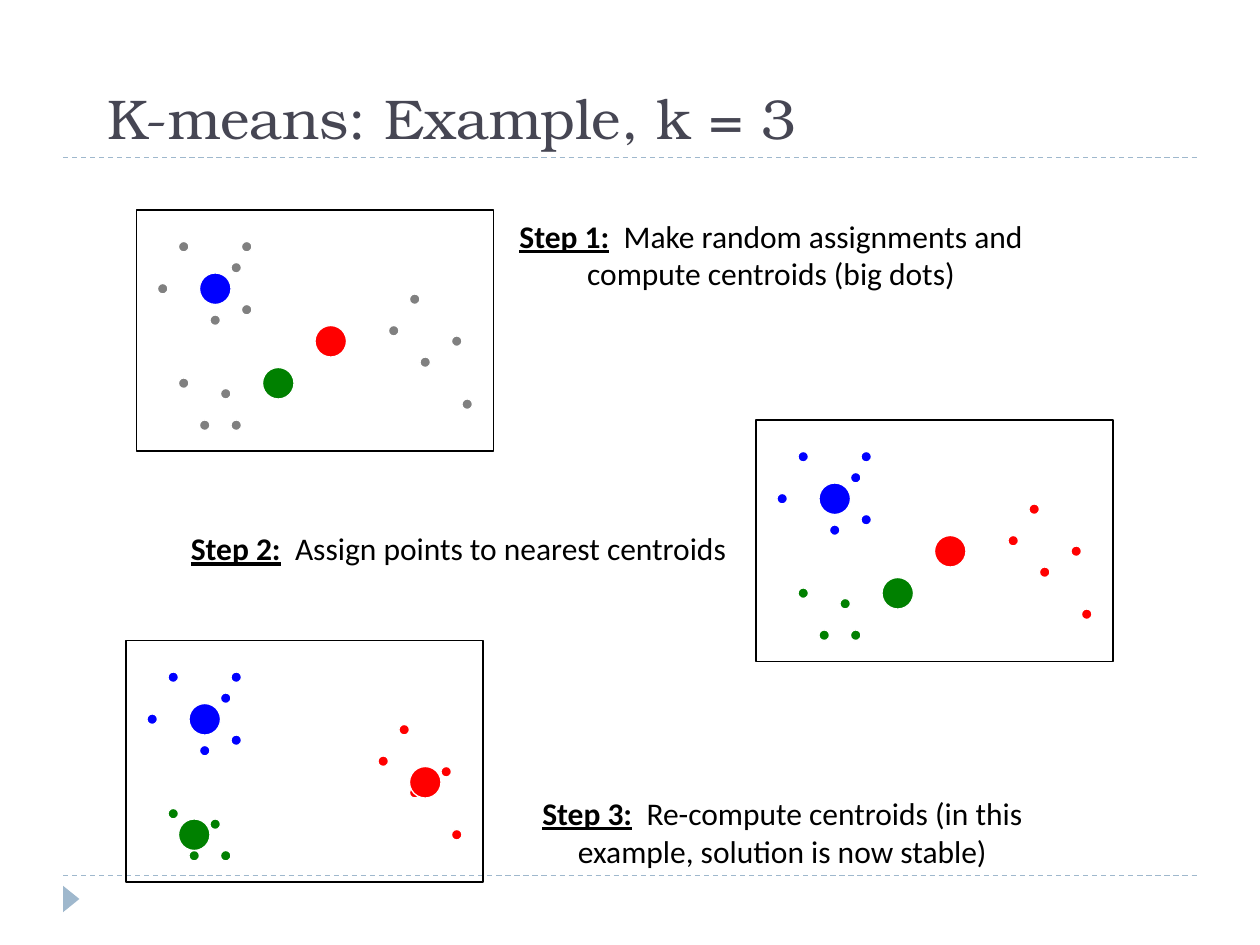
from lxml import etree
from pptx import Presentation
from pptx.dml.color import RGBColor
from pptx.enum.dml import MSO_LINE
from pptx.enum.shapes import MSO_CONNECTOR, MSO_SHAPE
from pptx.enum.text import MSO_ANCHOR, PP_ALIGN
from pptx.oxml.ns import qn
from pptx.util import Inches, Pt

RECTANGLE, OVAL = MSO_SHAPE.RECTANGLE, MSO_SHAPE.OVAL
TRIANGLE = MSO_SHAPE.ISOSCELES_TRIANGLE
MIDDLE, BOTTOM = MSO_ANCHOR.MIDDLE, MSO_ANCHOR.BOTTOM
LEFT, CENTER = PP_ALIGN.LEFT, PP_ALIGN.CENTER

# Content: points lie on a grid of 12 units to the inch, counted from the frame's corner
TITLE = "K-means: Example, k = 3"
BLUE, RED, GREEN, GREY = "0000FF", "FF0000", "008000", "808080"
BLACK, WHITE, ACCENT, TITLE_COLOUR = "000000", "FFFFFF", "9FB8CD", "464653"
CLUSTERS = {
    BLUE: [(4, 3), (7, 10), (9, 5), (10, 9), (2, 7), (10, 3)],
    RED: [(26, 8), (30, 12), (24, 11), (27, 14), (31, 18)],
    GREEN: [(4, 16), (6, 20), (9, 20), (8, 17)],
}
RANDOM_CENTROIDS = {GREEN: (12, 15), BLUE: (6, 6), RED: (17, 11)}
FINAL_CENTROIDS = {GREEN: (5, 17), BLUE: (6, 6), RED: (27, 12)}
STEPS = [
    dict(label="Step 1:", text="  Make random assignments and compute centroids (big dots)",
         frame=(13, 20), caption=(3.83, 1.67), assigned=False, centroids=RANDOM_CENTROIDS),
    dict(label="Step 2:", text="  Assign points to nearest centroids",
         frame=(72, 40), caption=(1.35, 4), assigned=True, centroids=RANDOM_CENTROIDS),
    dict(label="Step 3:", text="  Re-compute centroids (in this example, solution is now stable)",
         frame=(12, 61), caption=(3.92, 6.25), assigned=True, centroids=FINAL_CENTROIDS),
]
UNITS_PER_INCH = 12
FRAME_SIZE, POINT_SIZE, CENTROID_SIZE = (34, 23), (1, 1), (3, 3)
CAPTION_SIZE = (4.58, 0.7)


def colour(hex_code):
    return RGBColor.from_string(hex_code)


def add_shape(kind, position, size, fill=None, line=None, weight=0.75):
    shape = slide.shapes.add_shape(kind, *map(Inches, (*position, *size)))
    shape.shadow.inherit = False
    if fill:
        shape.fill.solid()
        shape.fill.fore_color.rgb = colour(fill)
    else:
        shape.fill.background()
    if line:
        shape.line.color.rgb = colour(line)
        shape.line.width = Pt(weight)
    else:
        shape.line.fill.background()
    return shape


def add_on_grid(kind, frame, offset, size, **style):
    position = [(f + o) / UNITS_PER_INCH for f, o in zip(frame, offset)]
    return add_shape(kind, position, [s / UNITS_PER_INCH for s in size], **style)


def add_rule(y):
    rule = slide.shapes.add_connector(
        MSO_CONNECTOR.STRAIGHT, Inches(0.5), Inches(y), Inches(9.5), Inches(y))
    rule.line.color.rgb = colour(ACCENT)
    rule.line.width = Pt(0.75)
    rule.line.dash_style = MSO_LINE.DASH
    etree.SubElement(rule._element.spPr, qn("a:effectLst"))


def add_run(paragraph, text, font, size, hex_code, strong=False):
    run = paragraph.add_run()
    run.text = text
    run.font.name, run.font.size = font, Pt(size)
    run.font.color.rgb = colour(hex_code)
    run.font.bold = run.font.underline = strong


def add_caption(step):
    caption = slide.shapes.add_textbox(*map(Inches, (*step["caption"], *CAPTION_SIZE)))
    frame = caption.text_frame
    frame.word_wrap = True
    frame.vertical_anchor = MIDDLE
    paragraph = frame.paragraphs[0]
    paragraph.alignment = CENTER
    add_run(paragraph, step["label"], "Calibri", 18, BLACK, strong=True)
    add_run(paragraph, step["text"], "Calibri", 18, BLACK)


prs = Presentation()
prs.slide_width, prs.slide_height = Inches(10), Inches(7.5)
slide = prs.slides.add_slide(prs.slide_layouts[5])

# Rules and corner marker
for rule_y in (6.95, 1.25):
    add_rule(rule_y)
marker = add_shape(TRIANGLE, (0.46, 7.07), (0.21, 0.13), fill=ACCENT)
marker.rotation = 90

# Title
title = slide.shapes.title
title.left, title.top, title.width, title.height = map(Inches, (0.75, 0, 8.5, 1.25))
title.text_frame.vertical_anchor = BOTTOM
heading = title.text_frame.paragraphs[0]
heading.alignment = LEFT
add_run(heading, TITLE, "TeX Gyre Bonum", 32, TITLE_COLOUR)

# One scatter frame and caption per step
for step in STEPS:
    origin = step["frame"]
    add_on_grid(RECTANGLE, origin, (0, 0), FRAME_SIZE, line=BLACK, weight=1)
    for cluster, points in CLUSTERS.items():
        for point in points:
            add_on_grid(OVAL, origin, point, POINT_SIZE,
                        fill=cluster if step["assigned"] else GREY, line=WHITE)
    for cluster, centroid in step["centroids"].items():
        add_on_grid(OVAL, origin, centroid, CENTROID_SIZE, fill=cluster, line=WHITE)
    add_caption(step)

prs.save("out.pptx")
